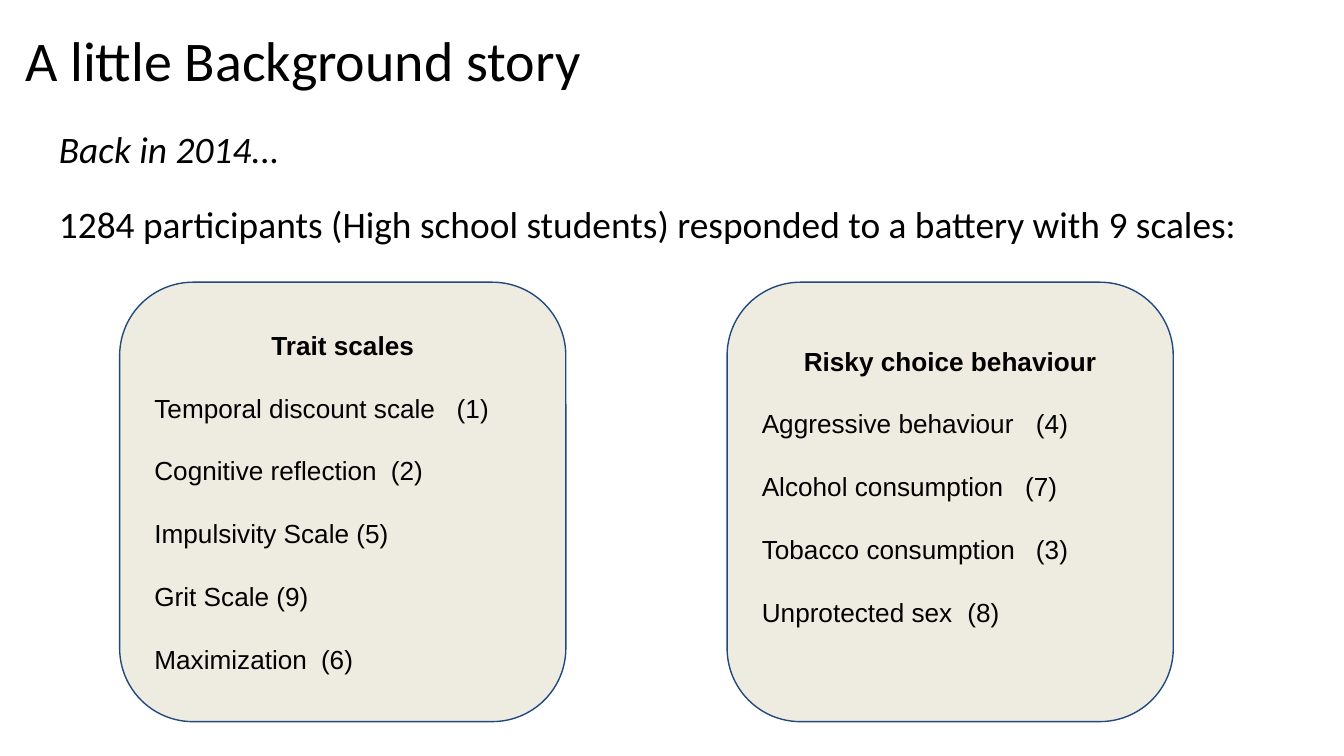
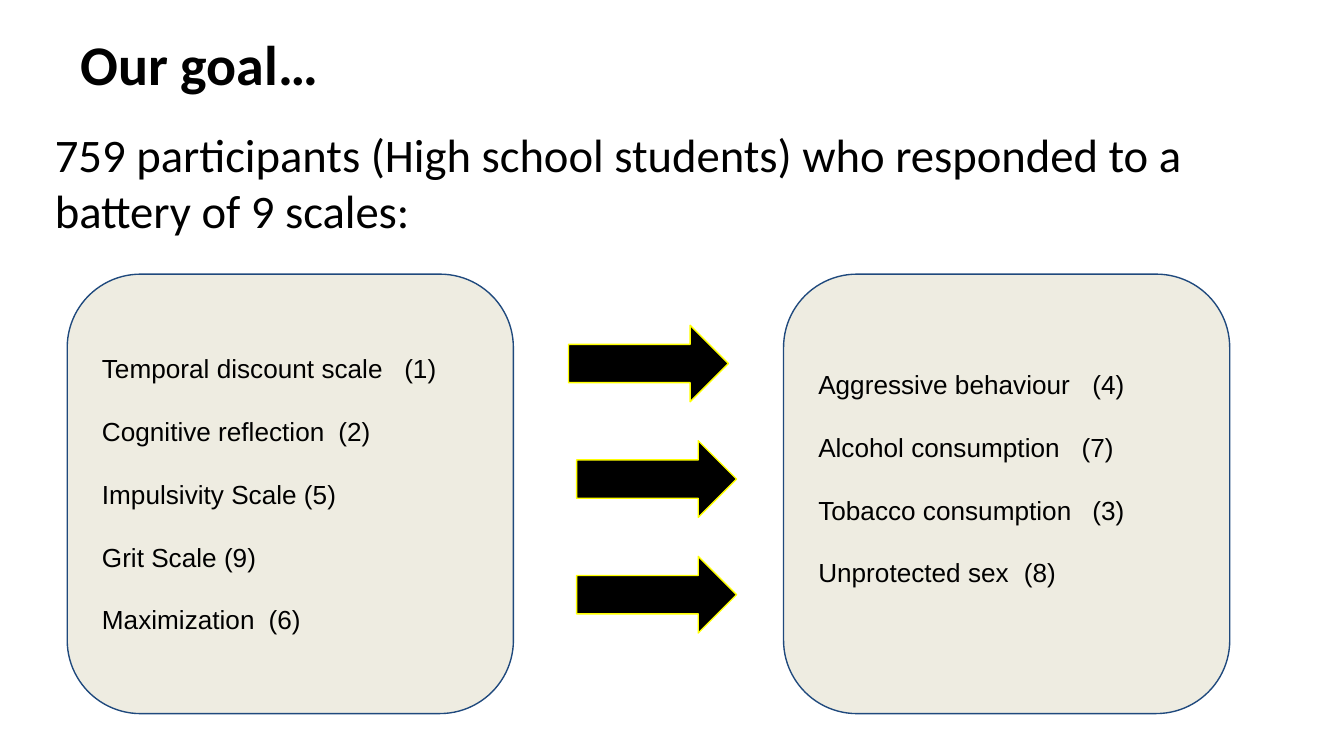
from lxml import etree
from pptx import Presentation
from pptx.dml.color import RGBColor
from pptx.enum.shapes import MSO_SHAPE
from pptx.enum.text import MSO_ANCHOR, PP_ALIGN
from pptx.oxml.ns import qn
from pptx.util import Inches, Pt

ROUND_RECT, ARROW = MSO_SHAPE.ROUNDED_RECTANGLE, MSO_SHAPE.RIGHT_ARROW
TOP, MIDDLE = MSO_ANCHOR.TOP, MSO_ANCHOR.MIDDLE
LEFT, CENTER = PP_ALIGN.LEFT, PP_ALIGN.CENTER

BLACK = RGBColor(0x00, 0x00, 0x00)
CREAM = RGBColor(0xEE, 0xEC, 0xE1)
NAVY = RGBColor(0x1F, 0x49, 0x7D)
YELLOW = RGBColor(0xFF, 0xFF, 0x00)

prs = Presentation()
prs.slide_width = Inches(10)
prs.slide_height = prs.slide_width * 9 // 16
CELL = prs.slide_width / 100
TEXT_W, TITLE_H, BODY_H, BODY_TOP = 93.2, 6.3, 37.4, 8.4
BOX_W, BOX_H = 33.2, 32.7
ARROW_W, ARROW_H, ARROW_TOP, ARROW_STEP = 11.9, 5.7, 24.2, 8.6
GAP = Pt(16.8)


def place(x, y, w, h):
    return [round(v * CELL) for v in (x, y, w, h)]


def add_text(tf, text, first=False, size=14, font="Arial", bold=False,
             italic=False, align=LEFT, before=GAP, tab=None):
    p = tf.paragraphs[0] if first else tf.add_paragraph()
    p.alignment = align
    p.space_before = Pt(0) if first else before
    if tab:
        tabs = etree.SubElement(p._p.get_or_add_pPr(), qn("a:tabLst"))
        etree.SubElement(tabs, qn("a:tab"), pos=str(Inches(tab)), algn="l")
    r = p.add_run()
    r.text = text
    r.font.name, r.font.size = font, Pt(size)
    r.font.bold, r.font.italic = bold, italic
    r.font.color.rgb = BLACK


traits = [("Temporal discount scale", 1, 2.25), ("Cognitive reflection", 2, 1.76),
          ("Impulsivity Scale", 5, None), ("Grit Scale", 9, None),
          ("Maximization", 6, 1.24)]
risks = [("Aggressive behaviour", 4, 2.04), ("Alcohol consumption", 7, 1.96),
         ("Tobacco consumption", 3, 2.04), ("Unprotected sex", 8, 1.53)]

slides = [
    dict(title="A little Background story", bold=False, title_at=(0.9, 0.9),
         body_x=3.4, body_size=20,
         body=[("Back in 2014...", True),
               ("1284 participants (High school students) responded to a battery with 9 scales:", False)],
         box_y=21, boxes=[(54.1, "Risky choice behaviour", risks, GAP),
                          (8.9, "Trait scales", traits, 0)],
         arrows=[]),
    dict(title="Our goal…", bold=True, title_at=(5, 1.2),
         body_x=3.1, body_size=25,
         body=[("759 participants (High school students) who responded to a battery of 9 scales:", False)],
         box_y=20.4, boxes=[(58.3, None, risks, GAP), (5, None, traits, 0)],
         arrows=[42.3, 42.9, 42.9]),
]

for data in slides:
    s = prs.slides.add_slide(prs.slide_layouts[6])

    title = s.shapes.add_textbox(*place(*data["title_at"], TEXT_W, TITLE_H))
    body = s.shapes.add_textbox(*place(data["body_x"], BODY_TOP, TEXT_W, BODY_H))
    for sp in (title, body):
        tf = sp.text_frame
        tf.word_wrap, tf.vertical_anchor = True, TOP
        tf.margin_left = tf.margin_right = tf.margin_top = tf.margin_bottom = round(CELL)
    add_text(title.text_frame, data["title"], first=True, size=30,
             font="Calibri", bold=data["bold"])
    for i, (text, italic) in enumerate(data["body"]):
        add_text(body.text_frame, text, first=i == 0, size=data["body_size"],
                 font="Calibri", italic=italic, before=Pt(16))

    for x, heading, items, lift in data["boxes"]:
        sp = s.shapes.add_shape(ROUND_RECT, *place(x, data["box_y"], BOX_W, BOX_H))
        sp.adjustments[0] = 0.167
        sp.shadow.inherit = False
        sp.fill.solid()
        sp.fill.fore_color.rgb = CREAM
        sp.line.color.rgb, sp.line.width = NAVY, Pt(0.75)
        tf = sp.text_frame
        tf.word_wrap, tf.vertical_anchor = True, MIDDLE
        tf.margin_left = tf.margin_right = tf.margin_top = round(CELL)
        tf.margin_bottom = round(CELL) + lift
        if heading:
            add_text(tf, heading, first=True, bold=True, align=CENTER)
        for i, (name, number, tab) in enumerate(items):
            gap = "\t" if tab else " "
            add_text(tf, f"{name}{gap}({number})", first=i == 0 and not heading, tab=tab)

    for i, x in enumerate(data["arrows"]):
        sp = s.shapes.add_shape(ARROW, *place(x, ARROW_TOP + i * ARROW_STEP, ARROW_W, ARROW_H))
        sp.shadow.inherit = False
        sp.fill.solid()
        sp.fill.fore_color.rgb = BLACK
        sp.line.color.rgb, sp.line.width = YELLOW, Pt(0.75)

prs.save("out.pptx")
